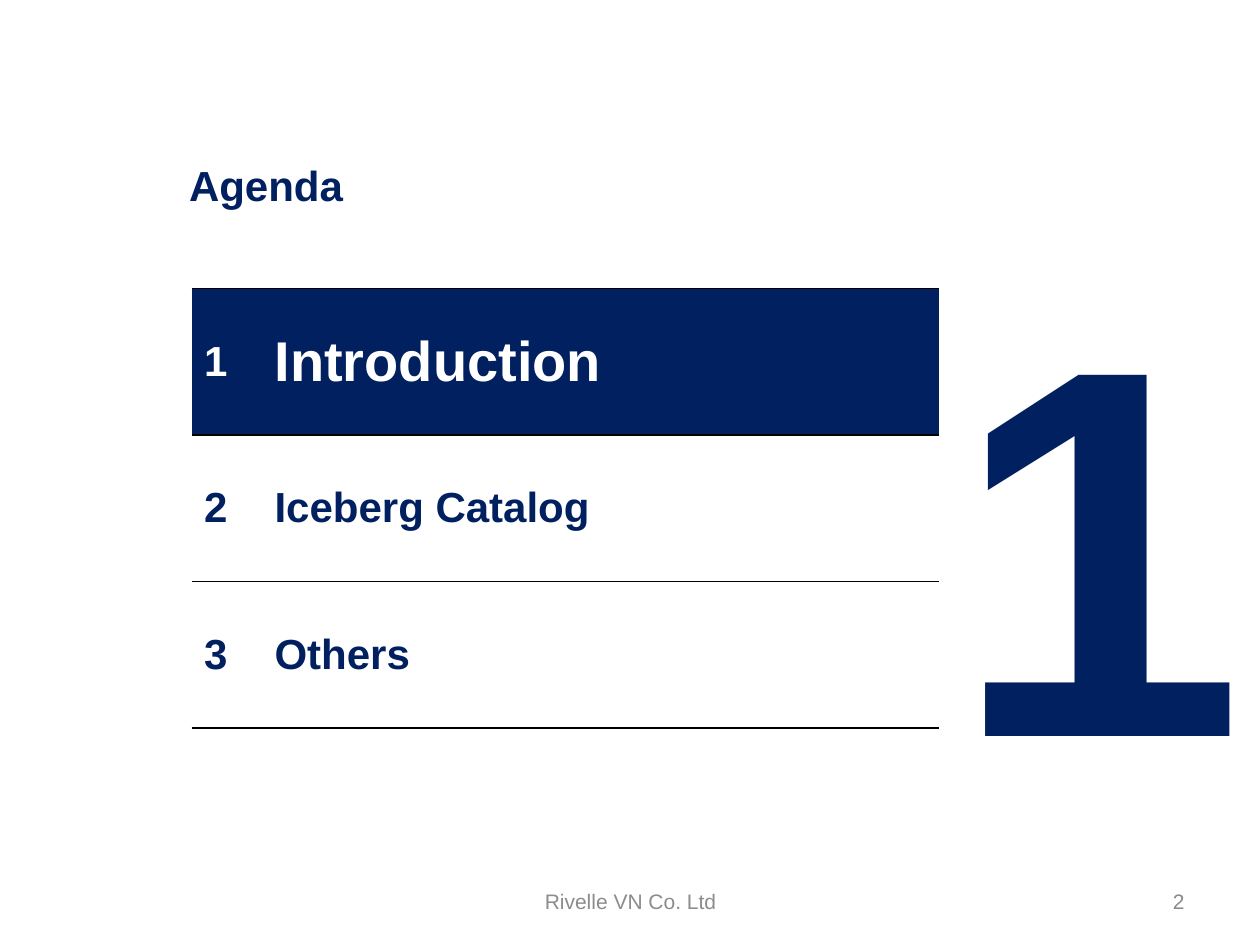
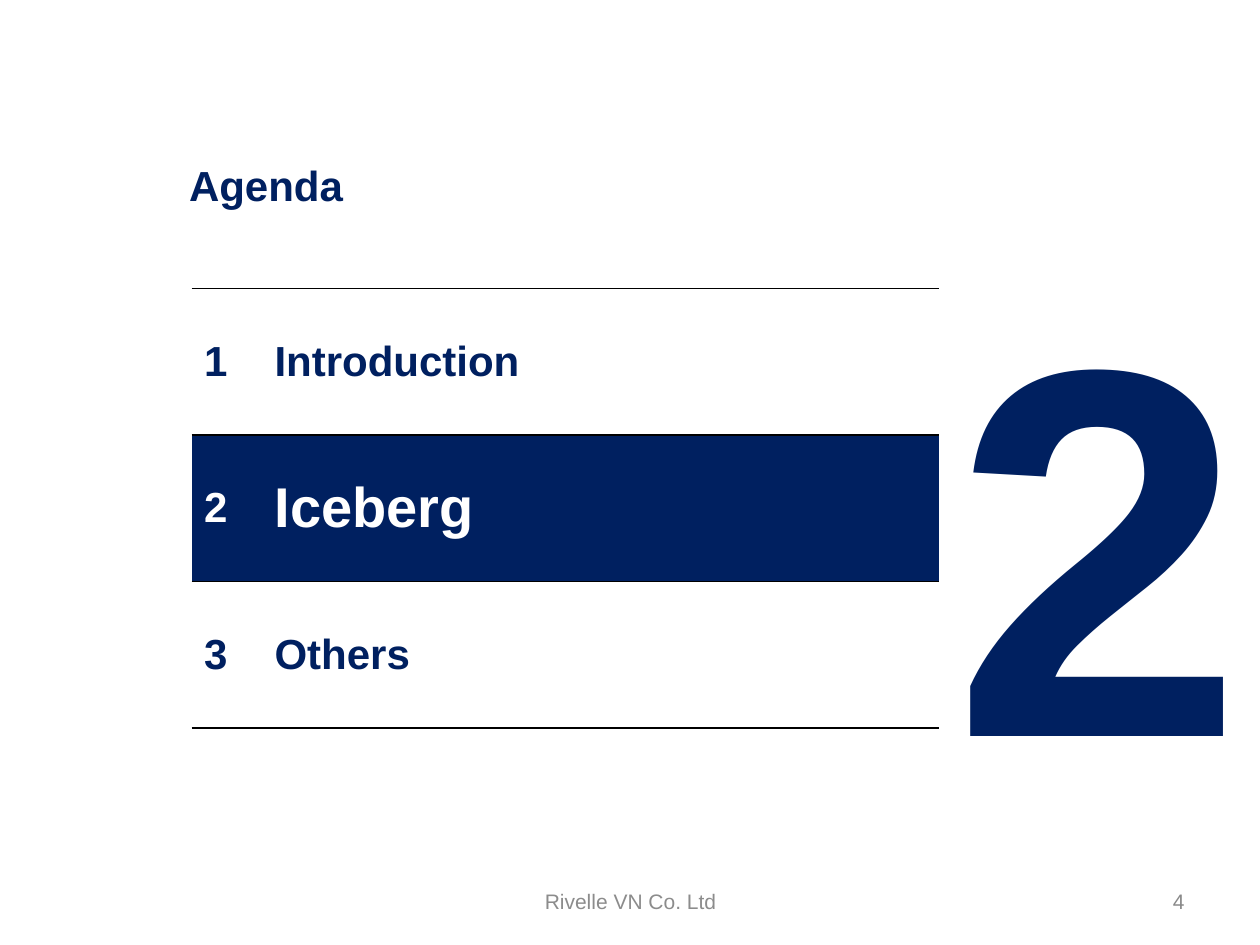
import pptx
import pptx.dml.color
import pptx.enum.text
import pptx.oxml
import pptx.oxml.ns
import pptx.util
from pptx.util import Inches

NAVY, WHITE, BLACK = "002060", "FFFFFF", "000000"
FOOTER_GREY, NUMBER_GREY = "8C8C8C", "898989"
FONT = "Arial"
FOOTER = "Rivelle VN Co. Ltd"
COLUMN_WIDTHS = (0.34, 0.23, 5.35)
ROW_HEIGHT = 1.163
ALIGN = pptx.enum.text.PP_ALIGN
ANCHOR = pptx.enum.text.MSO_ANCHOR


def rgb(color):
    """Turn a hex string into a colour."""
    return pptx.dml.color.RGBColor.from_string(color)


def write(tf, text, size, color, bold=True, align=ALIGN.LEFT):
    """Put one formatted paragraph into a text frame."""
    p = tf.paragraphs[0]
    p.text = text
    p.alignment = align
    p.font.name = FONT
    p.font.size = pptx.util.Pt(size)
    p.font.bold = bold
    p.font.color.rgb = rgb(color)


def add_title(s, text):
    """Place and format the slide title."""
    title = s.shapes.title
    title.left, title.top = Inches(1.4), Inches(0.96)
    title.width, title.height = Inches(7.47), Inches(1.01)
    title.text_frame.vertical_anchor = ANCHOR.MIDDLE
    write(title.text_frame, text, 24, NAVY)


def add_big_number(s, number):
    """Add the large section number at the right."""
    box = s.shapes.add_textbox(Inches(7.46), Inches(1.63), Inches(2.54), Inches(5.15))
    tf = box.text_frame
    tf.word_wrap = False
    tf.auto_size = pptx.enum.text.MSO_AUTO_SIZE.SHAPE_TO_FIT_TEXT
    write(tf, str(number), 300, NAVY)


def add_footer_text(s, left, width, text, color, align):
    """Add one text of the footer line."""
    box = s.shapes.add_textbox(Inches(left), Inches(6.95), Inches(width), Inches(0.4))
    tf = box.text_frame
    tf.word_wrap = True
    tf.vertical_anchor = ANCHOR.MIDDLE
    write(tf, text, 12, color, False, align)


def set_borders(cell):
    """Rule a cell above and below and leave its sides open."""
    solid = f'<a:solidFill><a:srgbClr val="{BLACK}"/></a:solidFill>'
    sides = {"lnL": "<a:noFill/>", "lnR": "<a:noFill/>", "lnT": solid, "lnB": solid}
    tcPr = cell._tc.get_or_add_tcPr()
    for i, (tag, fill) in enumerate(sides.items()):
        ns = pptx.oxml.ns.nsdecls("a")
        tcPr.insert(i, pptx.oxml.parse_xml(f'<a:{tag} {ns} w="12700">{fill}</a:{tag}>'))


def set_cell(cell, text, size, active, margin):
    """Fill, rule and write one agenda cell."""
    cell.vertical_anchor = ANCHOR.MIDDLE
    cell.margin_left = cell.margin_right = Inches(margin)
    cell.margin_top = cell.margin_bottom = Inches(margin / 2)
    if active:
        cell.fill.solid()
        cell.fill.fore_color.rgb = rgb(NAVY)
    else:
        cell.fill.background()
    set_borders(cell)
    if text:
        write(cell.text_frame, text, size, WHITE if active else NAVY)


def add_agenda(s, topics, current):
    """Add the agenda table with the current topic highlighted."""
    frame = s.shapes.add_table(len(topics), len(COLUMN_WIDTHS), Inches(1.52), Inches(2.29),
                               Inches(sum(COLUMN_WIDTHS)), Inches(ROW_HEIGHT * len(topics)))
    table = frame.table
    table.first_row = table.horz_banding = False
    for column, width in zip(table.columns, COLUMN_WIDTHS):
        column.width = Inches(width)
    for i, topic in enumerate(topics):
        active = i + 1 == current
        table.rows[i].height = Inches(ROW_HEIGHT)
        set_cell(table.cell(i, 0), str(i + 1), 24, active, 0.1)
        set_cell(table.cell(i, 1), "", 24, active, 0.1)
        set_cell(table.cell(i, 2), topic, 32 if active else 24, active, 0.08)


def add_agenda_slide(prs, topics, current, page):
    """Add one agenda slide."""
    s = prs.slides.add_slide(prs.slide_layouts[5])
    add_title(s, "Agenda")
    add_big_number(s, current)
    add_footer_text(s, 3.42, 3.17, FOOTER, FOOTER_GREY, ALIGN.CENTER)
    add_footer_text(s, 7.17, 2.33, str(page), NUMBER_GREY, ALIGN.RIGHT)
    add_agenda(s, topics, current)


def main():
    """Build and save the presentation."""
    prs = pptx.Presentation()
    prs.slide_width, prs.slide_height = Inches(10), Inches(7.5)
    add_agenda_slide(prs, ("Introduction", "Iceberg Catalog", "Others"), 1, 2)
    add_agenda_slide(prs, ("Introduction", "Iceberg", "Others"), 2, 4)
    prs.save("out.pptx")


if __name__ == "__main__":
    main()
